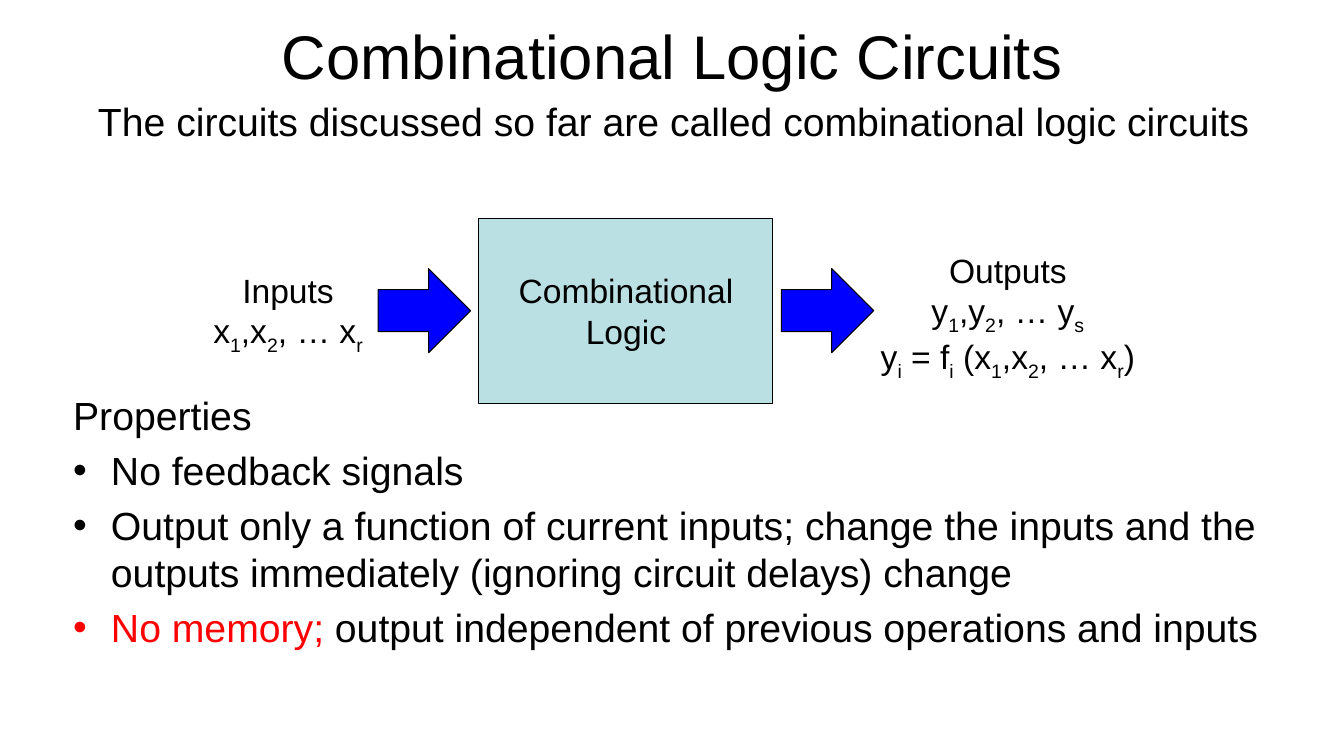
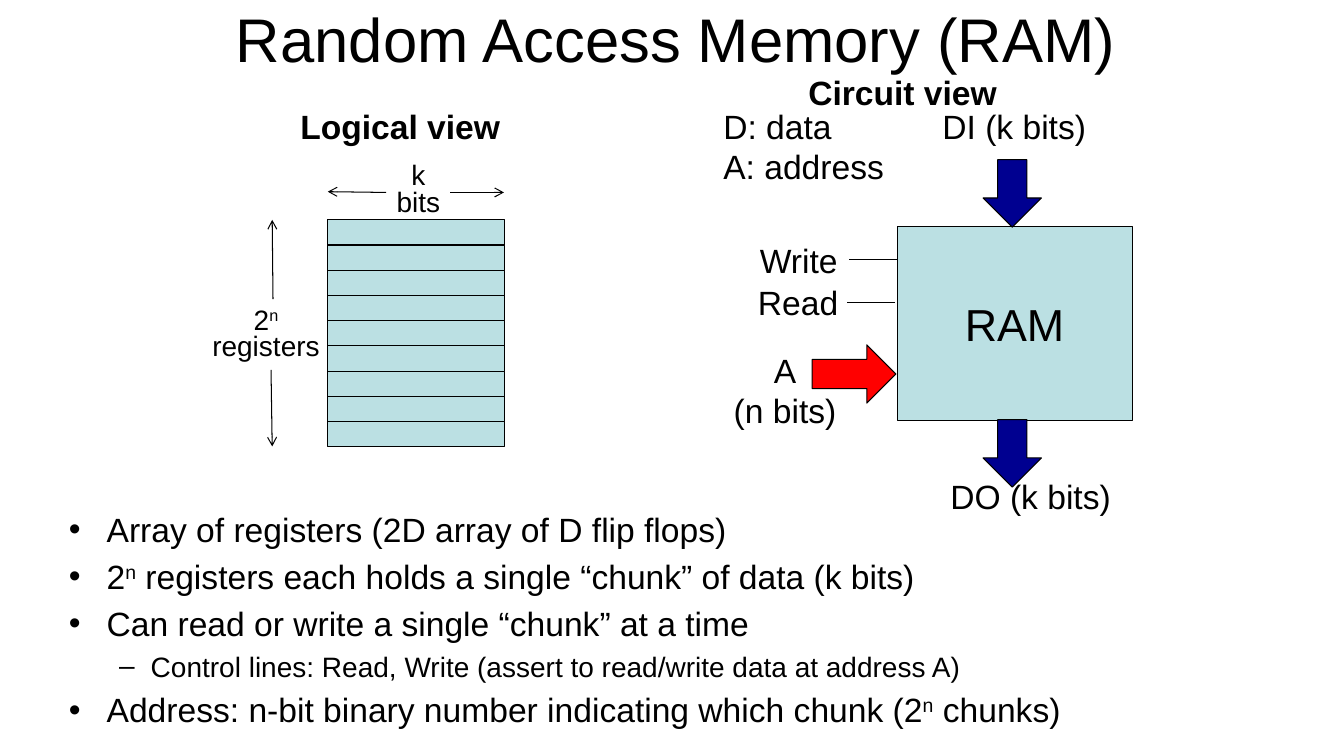
from dataclasses import dataclass
from typing import NamedTuple, Optional, Sequence, Union

from lxml.etree import SubElement
from pptx import Presentation
from pptx.dml.color import RGBColor
from pptx.enum.shapes import MSO_CONNECTOR, MSO_SHAPE
from pptx.enum.text import MSO_ANCHOR, MSO_AUTO_SIZE, PP_ALIGN
from pptx.oxml.ns import qn
from pptx.shapes.autoshape import Shape
from pptx.shapes.shapetree import GroupShapes, SlideShapes
from pptx.slide import Slide
from pptx.text.text import TextFrame, _Paragraph
from pptx.util import Cm, Pt

FONT = "Arial"
BLACK = RGBColor(0x00, 0x00, 0x00)
RED = RGBColor(0xFF, 0x00, 0x00)
BLUE = RGBColor(0x00, 0x00, 0xFF)
NAVY = RGBColor(0x00, 0x00, 0x90)
PALE_TEAL = RGBColor(0xBB, 0xE0, 0xE3)
BASELINES = {"_": "-25000", "^": "30000"}
REGISTER_COUNT = 9

Shapes = Union[SlideShapes, GroupShapes]


class Box(NamedTuple):
    """Left, top, width and height in centimetres."""

    left: float
    top: float
    width: float
    height: float


@dataclass(frozen=True)
class Item:
    """A body line, with an optional red lead."""

    text: str
    level: int = 0
    size: int = 28
    bullet: bool = True
    lead: str = ""


@dataclass(frozen=True)
class Label:
    """A text box whose lines may hold _ and ^ marks."""

    box: Box
    lines: Sequence[str]
    size: int = 24
    align: Optional[PP_ALIGN] = None
    spacing: Optional[float] = None
    bold: bool = False
    wrap: bool = False


@dataclass(frozen=True)
class Block:
    """A filled, outlined preset shape."""

    box: Box
    fill: RGBColor
    kind: MSO_SHAPE = MSO_SHAPE.RECTANGLE
    rotation: float = 0
    lines: Sequence[str] = ()
    size: int = 24


@dataclass(frozen=True)
class Line:
    """A straight line between two points in centimetres."""

    start: tuple[float, float]
    end: tuple[float, float]
    arrow: bool = False


def add_text(paragraph: _Paragraph, text: str, *, size: int = 24,
             color: RGBColor = BLACK, bold: bool = False) -> None:
    """Append text; _ lowers and ^ raises the character that follows."""
    pieces: list[tuple[str, str]] = []
    mark = plain = ""
    for character in text:
        if character in BASELINES:
            mark = character
        elif mark:
            pieces += [("", plain), (mark, character)]
            mark = plain = ""
        else:
            plain += character
    pieces.append(("", plain))
    for mark, piece in pieces:
        if not piece:
            continue
        run = paragraph.add_run()
        run.text = piece
        run.font.name = FONT
        run.font.size = Pt(size)
        run.font.bold = bold
        run.font.color.rgb = color
        if mark:
            run.font._element.set("baseline", BASELINES[mark])


def next_paragraph(frame: TextFrame, index: int) -> _Paragraph:
    """Return the first paragraph, or a new one after it."""
    return frame.add_paragraph() if index else frame.paragraphs[0]


def place(shape: Shape, box: Box) -> None:
    """Move and size a shape."""
    shape.left, shape.top, shape.width, shape.height = map(Cm, box)


def add_label(shapes: Shapes, label: Label) -> None:
    """Draw a text box."""
    frame = shapes.add_textbox(*map(Cm, label.box)).text_frame
    frame.word_wrap = label.wrap
    frame.auto_size = MSO_AUTO_SIZE.SHAPE_TO_FIT_TEXT
    for index, text in enumerate(label.lines):
        paragraph = next_paragraph(frame, index)
        paragraph.alignment = label.align
        paragraph.line_spacing = label.spacing
        add_text(paragraph, text, size=label.size, bold=label.bold)


def add_block(shapes: Shapes, block: Block) -> None:
    """Draw a preset shape with centred text."""
    shape = shapes.add_shape(block.kind, *map(Cm, block.box))
    shape.shadow.inherit = False
    shape.rotation = block.rotation
    shape.fill.solid()
    shape.fill.fore_color.rgb = block.fill
    shape.line.color.rgb = BLACK
    shape.line.width = Pt(0.75)
    shape.text_frame.vertical_anchor = MSO_ANCHOR.MIDDLE
    for index, text in enumerate(block.lines):
        paragraph = next_paragraph(shape.text_frame, index)
        paragraph.alignment = PP_ALIGN.CENTER
        add_text(paragraph, text, size=block.size)


def add_line(shapes: Shapes, line: Line) -> None:
    """Draw a line, with an open arrowhead at its end if asked."""
    connector = shapes.add_connector(
        MSO_CONNECTOR.STRAIGHT, *map(Cm, line.start + line.end))
    connector.line.color.rgb = BLACK
    connector.line.width = Pt(0.75)
    if line.arrow:
        SubElement(connector.line._get_or_add_ln(), qn("a:tailEnd"), type="arrow")
    SubElement(connector._element.spPr, qn("a:effectLst"))


def draw(shapes: Shapes, parts: Sequence[Union[Label, Block, Line]]) -> None:
    """Draw parts from back to front."""
    painters = {Label: add_label, Block: add_block, Line: add_line}
    for part in parts:
        painters[type(part)](shapes, part)


def add_slide(presentation: Presentation, title: str, title_box: Box,
              items: Sequence[Item], body_box: Box) -> Slide:
    """Add a slide with its title and list."""
    slide = presentation.slides.add_slide(presentation.slide_layouts[1])
    heading, body = slide.placeholders
    for placeholder, box in ((heading, title_box), (body, body_box)):
        place(placeholder, box)
        placeholder.text_frame.word_wrap = True
        placeholder.text_frame.auto_size = MSO_AUTO_SIZE.NONE
    heading.text_frame.vertical_anchor = MSO_ANCHOR.MIDDLE
    heading.text_frame.paragraphs[0].alignment = PP_ALIGN.CENTER
    add_text(heading.text_frame.paragraphs[0], title, size=44)
    for index, item in enumerate(items):
        paragraph = next_paragraph(body.text_frame, index)
        paragraph.level = item.level
        if index == 0:
            paragraph.space_before = Pt(0)
        if not item.bullet:
            properties = paragraph._p.get_or_add_pPr()
            properties.set("marL", "0")
            properties.set("indent", "0")
            SubElement(properties, qn("a:buNone"))
        add_text(paragraph, item.lead, size=item.size, color=RED)
        add_text(paragraph, item.text, size=item.size)
    return slide


def build_combinational_slide(presentation: Presentation) -> None:
    """Build the slide on combinational logic."""
    slide = add_slide(
        presentation, "Combinational Logic Circuits", Box(6.15, -0.2, 21.59, 3.18),
        [
            Item("Properties", bullet=False),
            Item("No feedback signals"),
            Item("Output only a function of current inputs; change the inputs "
                 "and the outputs immediately (ignoring circuit delays) change"),
            Item("output independent of previous operations and inputs",
                 lead="No memory; "),
        ],
        Box(1.59, 9.74, 30.48, 9.17))
    draw(slide.shapes, [
        Label(Box(2.22, 2.33, 30.48, 2.64),
              ["The circuits discussed so far are called combinational logic circuits"],
              size=28, wrap=True),
        Block(Box(12.07, 5.5, 7.41, 4.66), PALE_TEAL,
              lines=["Combinational", "Logic"]),
        Label(Box(5.05, 6.68, 4.42, 2.31), ["Inputs", "x_1,x_2, … x_r"],
              align=PP_ALIGN.CENTER),
        Label(Box(21.87, 6.17, 7.06, 3.33),
              ["Outputs", "y_1,y_2, … y_s", "y_i = f_i (x_1,x_2, … x_r)"],
              align=PP_ALIGN.CENTER),
        *(Block(Box(left, 6.77, 2.33, 2.12), BLUE, MSO_SHAPE.RIGHT_ARROW)
          for left in (9.53, 19.69)),
    ])


def build_memory_slide(presentation: Presentation) -> None:
    """Build the slide on random access memory."""
    slide = add_slide(
        presentation, "Random Access Memory (RAM)", Box(5.29, 0, 23.5, 1.91),
        [
            Item("Array of registers (2D array of D flip flops)", size=24),
            Item("2^n registers each holds a single “chunk” of data (k bits)", size=24),
            Item("Can read or write a single “chunk” at a time", size=24),
            Item("Control lines: Read, Write (assert to read/write data at address A)",
                 level=1, size=20),
            Item("Address: n-bit binary number indicating which chunk (2^n chunks)",
                 size=24),
        ],
        Box(1.48, 12.7, 30.48, 6.99))
    register_height = 5.72 / REGISTER_COUNT
    draw(slide.shapes.add_group_shape().shapes, [
        *(Block(Box(8.26, 5.54 + row * register_height, 4.45, register_height), PALE_TEAL)
          for row in range(REGISTER_COUNT)),
        Label(Box(9.73, 4.01, 1.63, 1.65), ["k", "bits"], size=20,
              align=PP_ALIGN.CENTER, spacing=0.8),
        Line((11.35, 4.85), (12.7, 4.85), arrow=True),
        Line((9.73, 4.85), (8.26, 4.83), arrow=True),
        Label(Box(5.08, 7.65, 3.25, 1.65), ["2^n", "registers"], size=20,
              align=PP_ALIGN.CENTER, spacing=0.8),
        Line((6.88, 7.54), (6.86, 5.54), arrow=True),
        Line((6.83, 9.32), (6.86, 11.25), arrow=True),
    ])
    draw(slide.shapes.add_group_shape().shapes, [
        Block(Box(22.61, 5.72, 5.92, 4.88), PALE_TEAL, lines=["RAM"], size=32),
        *(Block(Box(24.66, top, 1.7, 1.47), NAVY, MSO_SHAPE.RIGHT_ARROW, rotation=90)
          for top in (4.14, 10.69)),
        Line((22.61, 6.55), (21.39, 6.55)),
        Label(Box(18.9, 5.92, 2.49, 1.27), ["Write"]),
        Line((22.56, 7.62), (21.34, 7.62)),
        Label(Box(18.85, 6.99, 2.57, 1.27), ["Read"]),
        Label(Box(23.5, 2.54, 4.17, 1.27), ["DI (k bits)"]),
        Label(Box(23.7, 11.86, 4.6, 1.27), ["DO (k bits)"]),
        Label(Box(18.21, 8.69, 3.15, 2.31), ["A", "(n bits)"], align=PP_ALIGN.CENTER),
        Block(Box(20.47, 8.69, 2.11, 1.47), RED, MSO_SHAPE.RIGHT_ARROW),
        Label(Box(17.98, 2.54, 4.62, 2.31), ["D: data", "A: address"]),
    ])
    draw(slide.shapes, [
        Label(Box(7.32, 2.54, 5.61, 1.27), ["Logical view"], bold=True),
        Label(Box(20.12, 1.7, 5.31, 1.27), ["Circuit view"], bold=True),
    ])


def main() -> None:
    """Build and save the presentation."""
    presentation = Presentation()
    presentation.slide_width = Cm(33.87)
    presentation.slide_height = Cm(19.05)
    build_combinational_slide(presentation)
    build_memory_slide(presentation)
    presentation.save("out.pptx")


if __name__ == "__main__":
    main()
